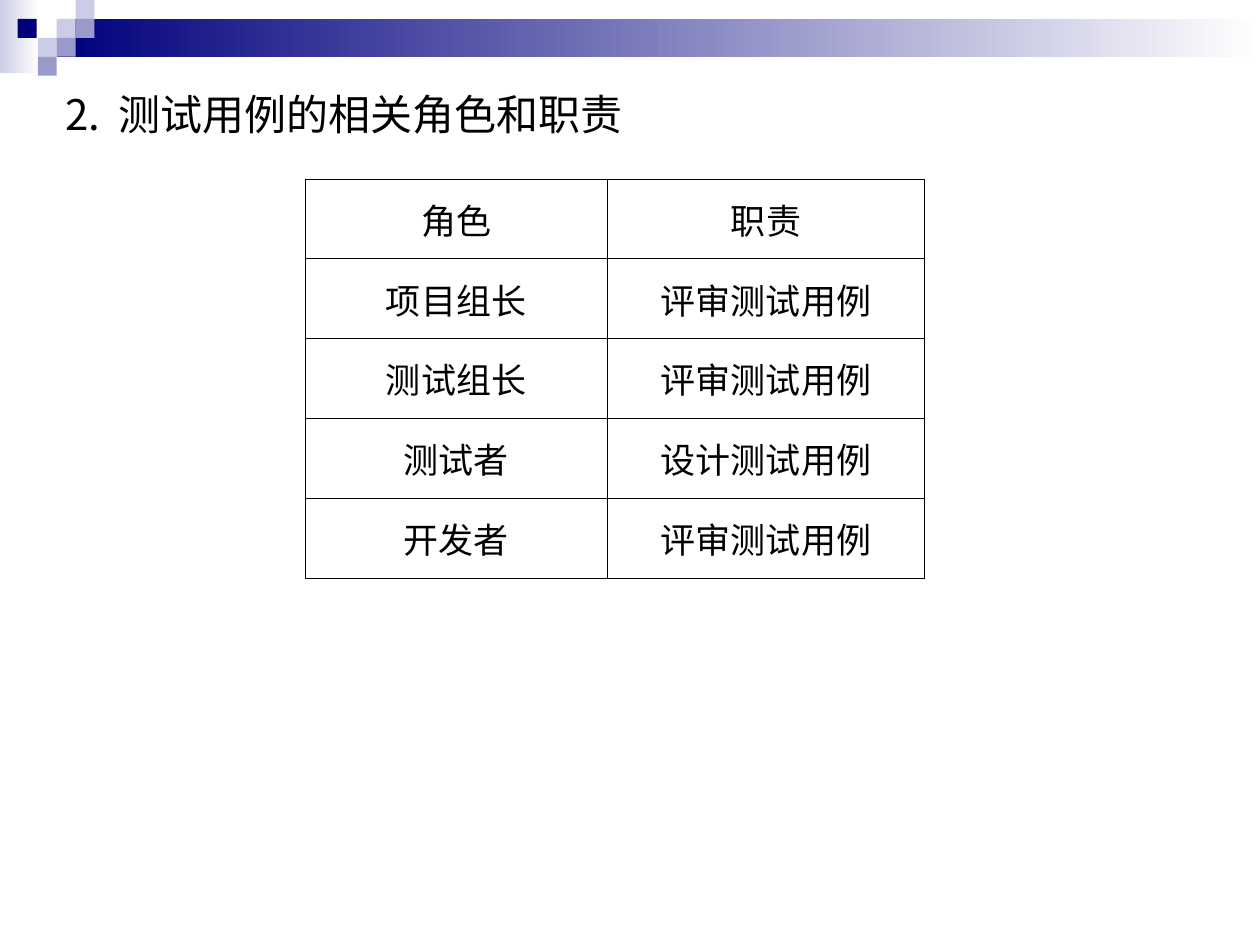
"""Build a slide that lists the roles and duties around test cases."""
import pptx
import pptx.dml.color
import pptx.enum.dml
import pptx.enum.shapes
import pptx.enum.text
import pptx.oxml
import pptx.oxml.ns
import pptx.util

Inches = pptx.util.Inches
FONT = "Noto Sans CJK SC"
COLORS = {
    "navy": "00007D",
    "violet": "9999CC",
    "lavender": "CCCCE6",
    "white": "FFFFFF",
    "text": "000000",
    "border": "080000",
}
SQUARE = 0.15
SQUARES = [
    (0.45, 0.15, "lavender"),
    (0.6, 0, "lavender"),
    (0.6, 0.15, "violet"),
    (0.3, 0.3, "lavender"),
    (0.14, 0.15, "navy"),
    (0.45, 0.3, "violet"),
    (0.3, 0.45, "violet"),
]
ROLES = [
    ("角色", "职责"),
    ("项目组长", "评审测试用例"),
    ("测试组长", "评审测试用例"),
    ("测试者", "设计测试用例"),
    ("开发者", "评审测试用例"),
]


def rgb(name):
    """Return the named colour."""
    return pptx.dml.color.RGBColor.from_string(COLORS[name])


def add_rectangle(page, left, top, width, height, color, fade_to=None):
    """Add a borderless rectangle, plain or fading from left to right."""
    box = page.shapes.add_shape(
        pptx.enum.shapes.MSO_SHAPE.RECTANGLE,
        Inches(left), Inches(top), Inches(width), Inches(height))
    box.shadow.inherit = False
    box.line.fill.background()
    if fade_to:
        box.fill.gradient()
        box.fill.gradient_angle = 0
        for stop, name, position in zip(box.fill.gradient_stops, (color, fade_to), (0, 1)):
            stop.color.rgb = rgb(name)
            stop.position = position
    else:
        box.fill.solid()
        box.fill.fore_color.rgb = rgb(color)


def add_span(para, text, size, spacing=0):
    """Add text to a paragraph, with letter spacing in points."""
    span = para.add_run()
    span.text = text
    span.font.size = pptx.util.Pt(size)
    span.font.name = FONT
    span.font.color.rgb = rgb("text")
    properties = span.font._element
    if spacing:
        properties.set("spc", str(spacing * 100))
    east_asian = pptx.oxml.parse_xml(
        f'<a:ea {pptx.oxml.ns.nsdecls("a")} typeface="{FONT}"/>')
    properties.find(pptx.oxml.ns.qn("a:latin")).addnext(east_asian)


def add_title(page):
    """Add the numbered title, with a widened space after the number."""
    box = page.shapes.add_textbox(Inches(0.42), Inches(0.65), Inches(9.25), Inches(0.5))
    box.text_frame.word_wrap = True
    para = box.text_frame.paragraphs[0]
    add_span(para, "2.", 24)
    add_span(para, " ", 24, spacing=5)
    add_span(para, "测试用例的相关角色和职责", 24)


def set_borders(cell, width):
    """Draw a thin line on all four sides of a cell."""
    properties = cell._tc.get_or_add_tcPr()
    for index, side in enumerate(("lnL", "lnR", "lnT", "lnB")):
        properties.insert(index, pptx.oxml.parse_xml(
            f'<a:{side} {pptx.oxml.ns.nsdecls("a")} w="{pptx.util.Pt(width)}">'
            f'<a:solidFill><a:srgbClr val="{COLORS["border"]}"/></a:solidFill></a:{side}>'))


def add_role_table(page):
    """Add the table of roles and duties."""
    widths = (2.4, 2.52)
    row_height = 0.634
    table = page.shapes.add_table(
        len(ROLES), len(widths), Inches(2.42), Inches(1.42),
        Inches(sum(widths)), Inches(row_height * len(ROLES))).table
    table.first_row = table.horz_banding = False
    for column, width in zip(table.columns, widths):
        column.width = Inches(width)
    for row, texts in zip(table.rows, ROLES):
        for cell, text in zip(row.cells, texts):
            cell.fill.background()
            cell.vertical_anchor = pptx.enum.text.MSO_ANCHOR.MIDDLE
            cell.margin_left = cell.margin_right = Inches(0.08)
            set_borders(cell, 0.45)
            para = cell.text_frame.paragraphs[0]
            para.alignment = pptx.enum.text.PP_ALIGN.CENTER
            add_span(para, text, 20)


def main():
    """Build and save the deck."""
    deck = pptx.Presentation()
    deck.slide_width, deck.slide_height = Inches(10), Inches(7.5)
    page = deck.slides.add_slide(deck.slide_layouts[6])
    add_rectangle(page, 0, 0, 0.31, 0.58, "lavender", fade_to="white")
    add_rectangle(page, 0.45, 0.15, 9.55, 0.3, "navy", fade_to="white")
    for left, top, color in SQUARES:
        add_rectangle(page, left, top, SQUARE, SQUARE, color)
    add_title(page)
    add_role_table(page)
    deck.save("out.pptx")


if __name__ == "__main__":
    main()
